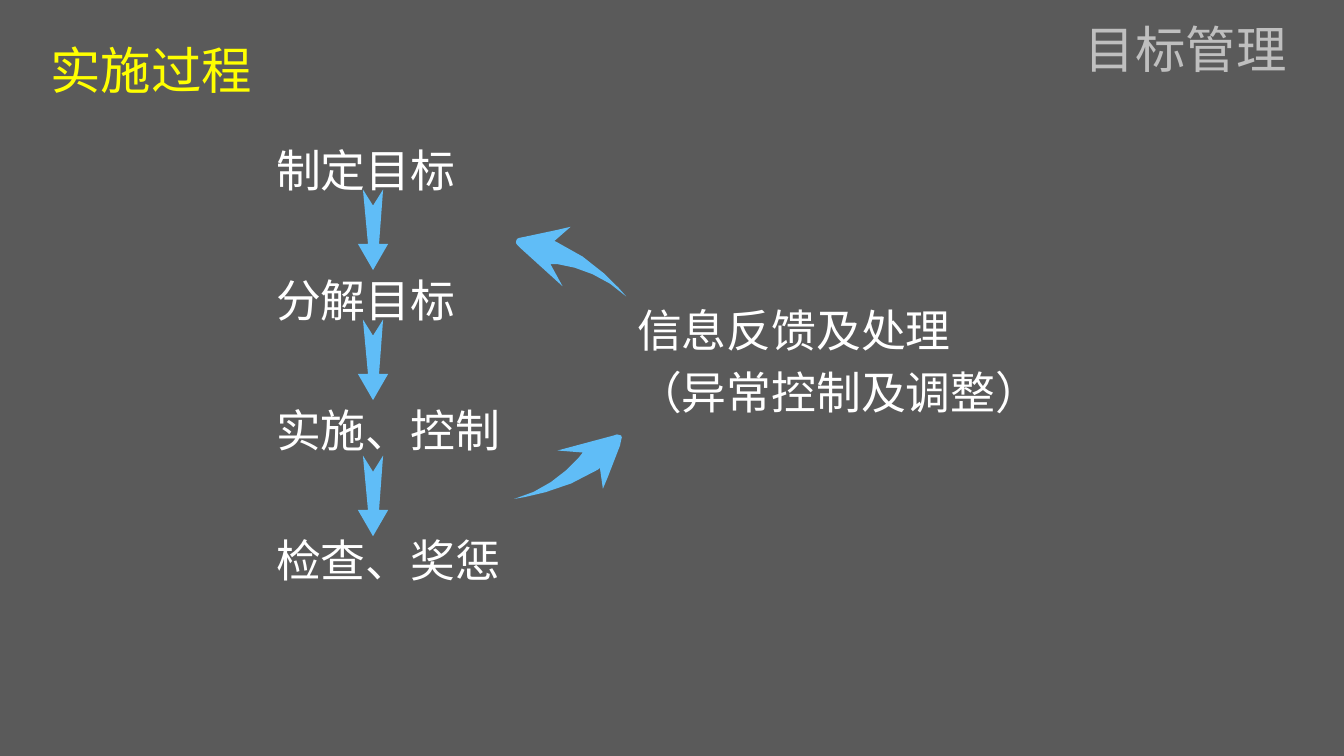
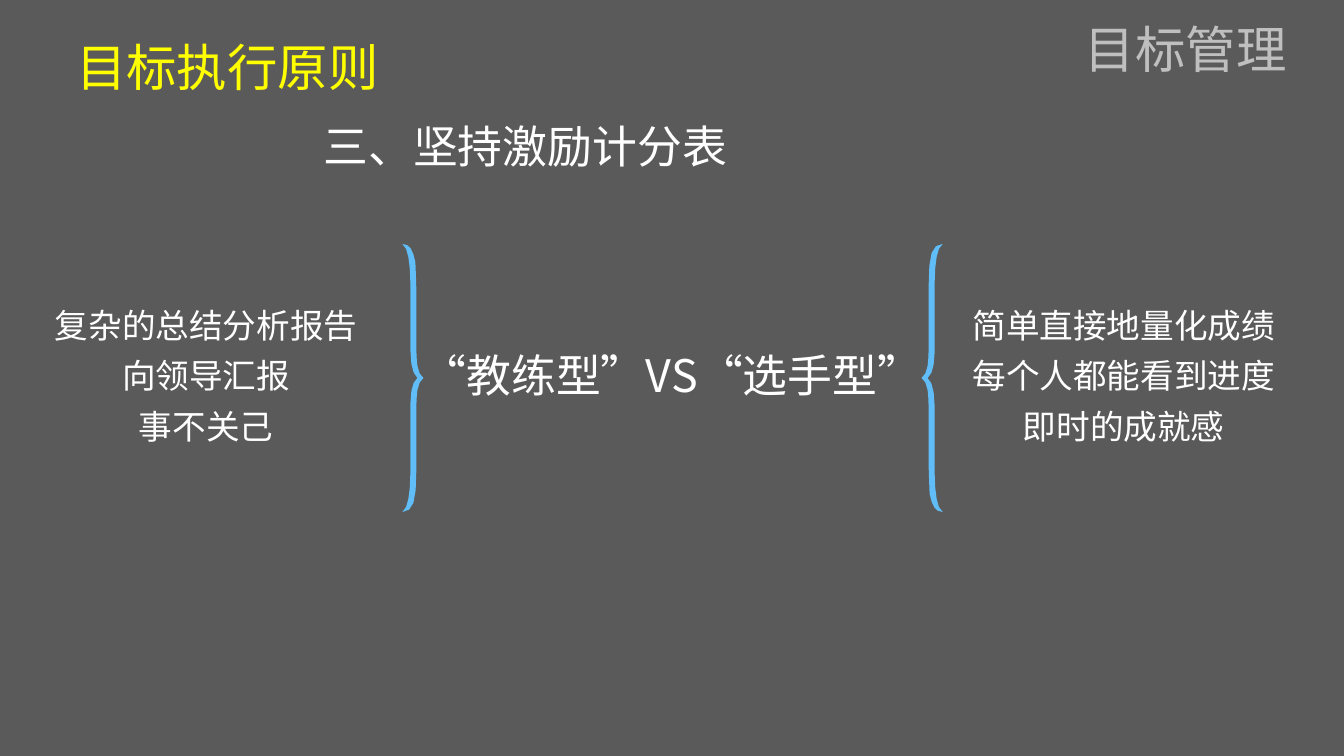
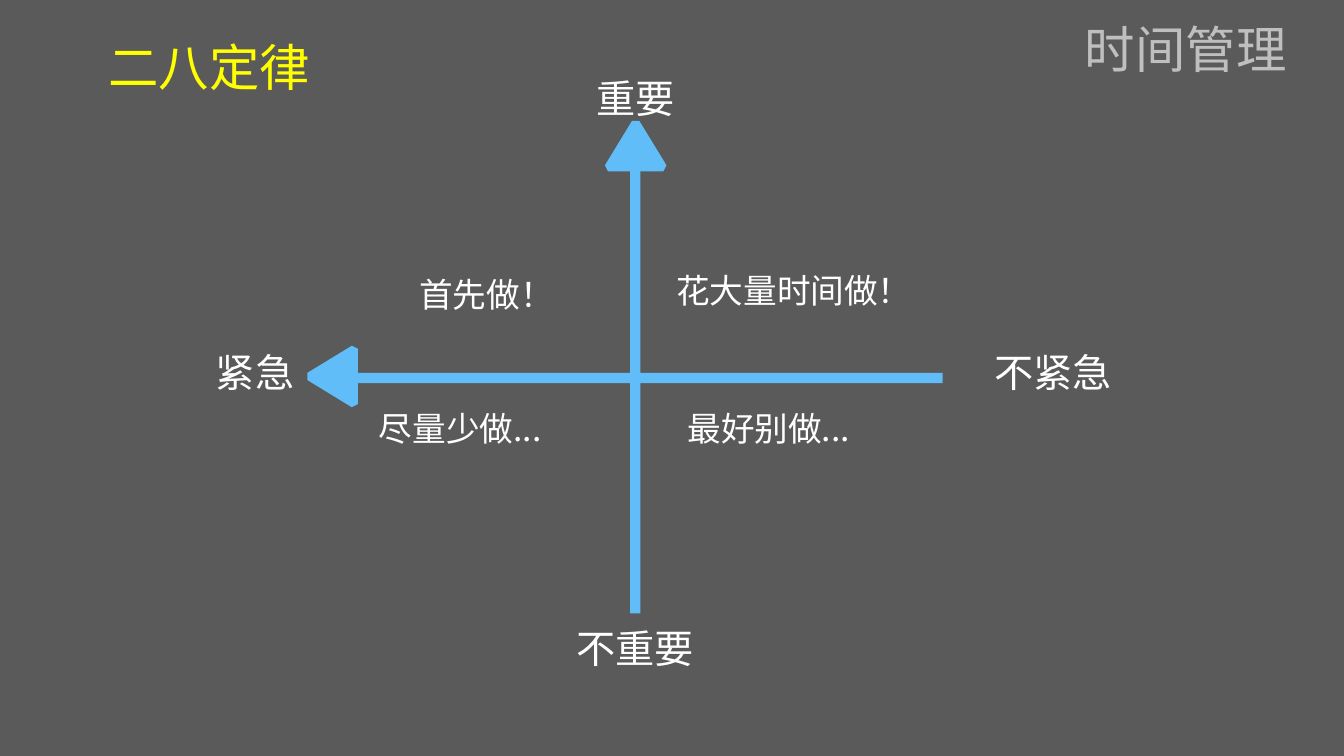
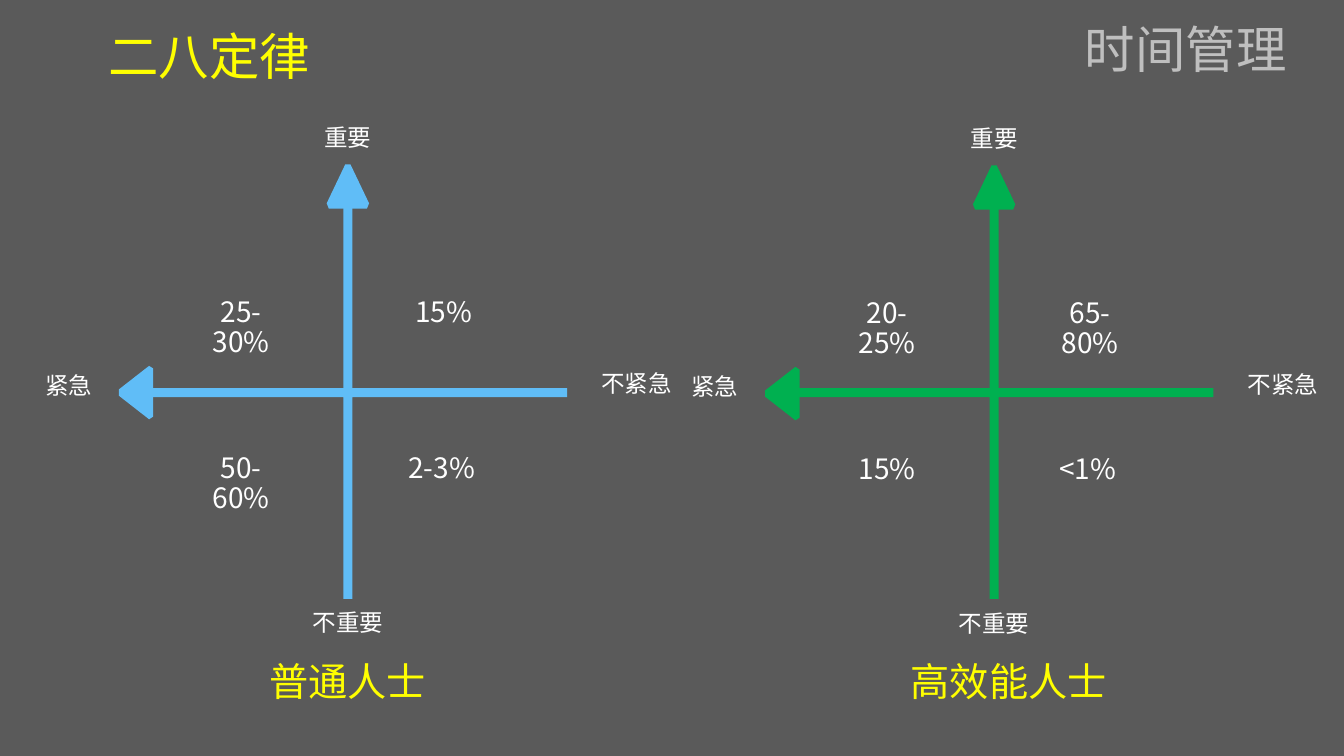
from math import dist

from lxml.etree import SubElement
from pptx import Presentation
from pptx.dml.color import RGBColor
from pptx.enum.lang import MSO_LANGUAGE_ID
from pptx.enum.shapes import MSO_SHAPE
from pptx.enum.text import MSO_ANCHOR, MSO_AUTO_SIZE, PP_ALIGN
from pptx.oxml.ns import qn
from pptx.util import Pt

PX = 9144
GREY, WHITE, YELLOW, SILVER = "5A5A5A", "FFFFFF", "FFFF00", "BFBFBF"
BLUE, GREEN = "60BDF7", "00B050"
CJK, LATIN = "Noto Sans CJK SC", "Arial"
LEFT, CENTER = PP_ALIGN.LEFT, PP_ALIGN.CENTER
TOP, MIDDLE = MSO_ANCHOR.TOP, MSO_ANCHOR.MIDDLE
TITLE_ONLY, TWO_CONTENT = 5, 3

DOWN_ARROW = [(15, 54), (0, 80), (-15, 54), (-5, 54), (-10, 0), (0, 16), (10, 0), (6, 54)]
ARROWHEAD = [(0.44, 0), (0.56, 0), (1, 0.88), (0.95, 1), (0.05, 1), (0, 0.88)]
TO_FEEDBACK = [
    (612, 431), (616, 432), (617, 433, 617, 435, 616, 437),
    (615, 442), (603, 473), (598, 485), (595, 464), (593, 466),
    (559, 488, 516, 494, 510, 495), (537, 488, 559, 471, 574, 454),
    (578, 449), (553, 447), (609, 432),
]
FROM_FEEDBACK = [
    (513, 243), (512, 242, 511, 240, 512, 239), (512, 238, 513, 236, 515, 236),
    (520, 235), (553, 228), (566, 225), (550, 239), (552, 240),
    (589, 256, 617, 289, 621, 294), (601, 275, 575, 265, 553, 262),
    (546, 262), (558, 284), (515, 245),
]
OPENING_BRACE = [
    (927, 281), (927, 270, 928, 260, 929, 255), (930, 249, 932, 244, 935, 242),
    (930, 242, 926, 245, 924, 251), (922, 256, 921, 268, 921, 285), (921, 340),
    (921, 350, 921, 358, 920, 363), (919, 369, 917, 373, 914, 375),
    (917, 377, 919, 381, 920, 387), (921, 392, 921, 400, 921, 411), (921, 461),
    (921, 474, 922, 483, 922, 490), (923, 496, 925, 501, 927, 504),
    (929, 506, 931, 508, 935, 508), (932, 506, 930, 501, 929, 495),
    (928, 489, 927, 480, 927, 469), (927, 418), (927, 405, 927, 395, 926, 389),
    (925, 382, 923, 378, 920, 375), (923, 373, 925, 368, 926, 362),
    (927, 357, 927, 347, 927, 335),
]


def rgb(color):
    """Turn a hex string into a colour."""
    return RGBColor.from_string(color)


def write(tf, text, size=24, color=WHITE, font=CJK, align=LEFT, spacing=0.9, anchor=TOP):
    """Fill a text frame with one paragraph per line of text."""
    tf.word_wrap = True
    tf.auto_size = MSO_AUTO_SIZE.NONE
    tf.vertical_anchor = anchor
    for i, line in enumerate(text.split("\n")):
        p = tf.add_paragraph() if i else tf.paragraphs[0]
        p.alignment = align
        p.line_spacing = spacing
        p.space_before = Pt(10)
        pPr = p._p.get_or_add_pPr()
        pPr.set("marL", "0")
        pPr.set("indent", "0")
        SubElement(pPr, qn("a:buNone"))
        r = p.add_run()
        r.text = line
        r.font.size = Pt(size)
        r.font.color.rgb = rgb(color)
        r.font.name = font
        r.font.language_id = MSO_LANGUAGE_ID.SIMPLIFIED_CHINESE
        SubElement(r._r.get_or_add_rPr(), qn("a:ea")).set("typeface", CJK)


def flatten(path):
    """Turn a path of points and cubic curves into a few plain points."""
    points = [path[0]]
    for step in path[1:]:
        if len(step) == 2:
            points.append(step)
            continue
        x0, y0 = points[-1]
        x1, y1, x2, y2, x3, y3 = step
        parts = 4 if dist((x0, y0), (x3, y3)) > 40 else 2
        for i in range(1, parts + 1):
            t = i / parts
            u = 1 - t
            a, b, c, d = u**3, 3 * u * u * t, 3 * u * t * t, t**3
            points.append((a * x0 + b * x1 + c * x2 + d * x3,
                           a * y0 + b * y1 + c * y2 + d * y3))
    return points


class Deck:
    """Holds the presentation, its style and the current slide."""

    def __init__(self):
        """Set up the slide size and the shared background."""
        self.prs = Presentation()
        self.prs.slide_width, self.prs.slide_height = 1333 * PX, 750 * PX
        fill = self.prs.slide_master.background.fill
        fill.solid()
        fill.fore_color.rgb = rgb(GREY)

    def slide(self, section, title, box, spacing=0.7, layout=TITLE_ONLY):
        """Start a slide with its title and section name."""
        self.s = self.prs.slides.add_slide(self.prs.slide_layouts[layout])
        self.place(self.s.shapes.title, title, box, size=36, color=YELLOW, font=LATIN,
                   align=CENTER, spacing=spacing, anchor=MIDDLE)
        self.text(section, (1045, 19, 262, 65), size=36, color=SILVER,
                  align=CENTER, anchor=MIDDLE)

    def place(self, sp, text, box, **style):
        """Move a placeholder and fill it."""
        sp.left, sp.top, sp.width, sp.height = (v * PX for v in box)
        write(sp.text_frame, text, **style)

    def text(self, text, box, **style):
        """Add a text box."""
        sp = self.s.shapes.add_textbox(*(v * PX for v in box))
        write(sp.text_frame, text, **style)

    def paint(self, sp, color):
        """Give a shape a flat fill and no line."""
        sp.shadow.inherit = False
        sp.fill.solid()
        sp.fill.fore_color.rgb = rgb(color)
        sp.line.fill.background()

    def outline(self, path, color=BLUE):
        """Add a filled outline."""
        points = [(x * PX, y * PX) for x, y in flatten(path)]
        builder = self.s.shapes.build_freeform(*points[0], scale=1.0)
        builder.add_line_segments(points[1:], close=True)
        self.paint(builder.convert_to_shape(), color)

    def axes(self, cross, up, left, color=BLUE):
        """Add crossed axes with heads pointing up and left."""
        sp = self.s.shapes.add_shape(MSO_SHAPE.MATH_PLUS, *(v * PX for v in cross))
        sp.adjustments[0] = 0.016
        self.paint(sp, color)
        x, y, w, h = up
        self.outline([(x + u * w, y + v * h) for u, v in ARROWHEAD], color)
        x, y, w, h = left
        self.outline([(x + v * w, y + (1 - u) * h) for u, v in ARROWHEAD], color)

    def labels(self, items, dx=0, dy=0, **style):
        """Add several text boxes in one style, shifted together."""
        for text, (x, y, w, h) in items:
            self.text(text, (x + dx, y + dy, w, h), **style)


def process_slide(deck):
    """Build the process with its feedback loop."""
    deck.slide("目标管理", "实施过程", (31, 40, 238, 65), spacing=0.9)
    for i, step in enumerate(["制定目标", "分解目标", "实施、控制", "检查、奖惩"]):
        deck.text(step, (264, 139 + 129 * i, 288, 65), size=32, anchor=MIDDLE)
    deck.text("信息反馈及处理\n（异常控制及调整）", (622, 291, 503, 140), size=32, anchor=MIDDLE)
    for top in (188, 317, 452):
        deck.outline([(370 + x, top + y) for x, y in DOWN_ARROW])
    deck.outline(TO_FEEDBACK)
    deck.outline(FROM_FEEDBACK)


def principle_slide(deck):
    """Build the comparison of two kinds of score sheet."""
    deck.slide("目标管理", "目标执行原则", (31, 41, 389, 65), layout=TWO_CONTENT)
    deck.text("三、坚持激励计分表", (311, 115, 711, 65), size=32, anchor=MIDDLE)
    deck.text("“教练型”VS“选手型”", (399, 334, 535, 82), size=32, align=CENTER, anchor=MIDDLE)
    deck.outline(OPENING_BRACE)
    deck.outline([tuple((750 if i % 2 else 1334) - v for i, v in enumerate(step))
                  for step in OPENING_BRACE])
    lists = [(1, 31, "复杂的总结分析报告\n向领导汇报\n事不关己"),
             (2, 941, "简单直接地量化成绩\n每个人都能看到进度\n即时的成就感")]
    for idx, x, lines in lists:
        deck.place(deck.s.placeholders[idx], lines, (x, 208, 347, 334),
                   align=CENTER, anchor=MIDDLE)


def quadrant_slide(deck):
    """Build the four quadrants of urgency and importance."""
    deck.slide("时间管理", "二八定律", (31, 41, 353, 65))
    deck.axes((215, 57, 830, 636), (600, 120, 61, 50), (305, 343, 50, 61))
    deck.labels([("紧急", (200, 346, 106, 58)), ("重要", (577, 74, 106, 58)),
                 ("不紧急", (966, 346, 157, 58)), ("不重要", (553, 620, 154, 58))],
                size=28, align=CENTER)
    deck.labels([("首先做！", (406, 271, 184, 57)), ("尽量少做...", (366, 404, 234, 63)),
                 ("最好别做...", (672, 404, 234, 63))])
    deck.text("花大量时间做！", (661, 274, 273, 52), spacing=0.7)


def comparison_slide(deck):
    """Build the time shares of two groups side by side."""
    deck.slide("时间管理", "二八定律", (31, 19, 353, 86))
    groups = [(0, 0, BLUE, "普通人士", 168, ["25-30%", "15%", "50-60%", "2-3%"]),
              (641, 1, GREEN, "高效能人士", 824, ["20-25%", "65-80%", "15%", "<1%"])]
    spots = [(183, 291, 112, 41), (384, 291, 112, 41),
             (183, 446, 112, 41), (382, 446, 112, 41)]
    names = [("紧急", (31, 366, 74, 51)), ("重要", (308, 120, 74, 51)),
             ("不紧急", (582, 364, 99, 51)), ("不重要", (295, 601, 100, 45))]
    for dx, dy, color, caption, x, shares in groups:
        deck.axes((49 + dx, 111, 592, 557), (324 + dx, 163 + dy, 42, 44),
                  (118 + dx, 363 + dy, 34, 53), color)
        deck.labels(names, dx, dy, size=16.8, align=CENTER)
        deck.labels(zip(shares, spots), dx, dy, size=20, align=CENTER)
        deck.text(caption, (x, 646, 353, 65), size=28, color=YELLOW, font=LATIN,
                  align=CENTER, anchor=MIDDLE)


def main():
    """Build the slides and save them."""
    deck = Deck()
    for build in (process_slide, principle_slide, quadrant_slide, comparison_slide):
        build(deck)
    deck.prs.save("out.pptx")


if __name__ == "__main__":
    main()
